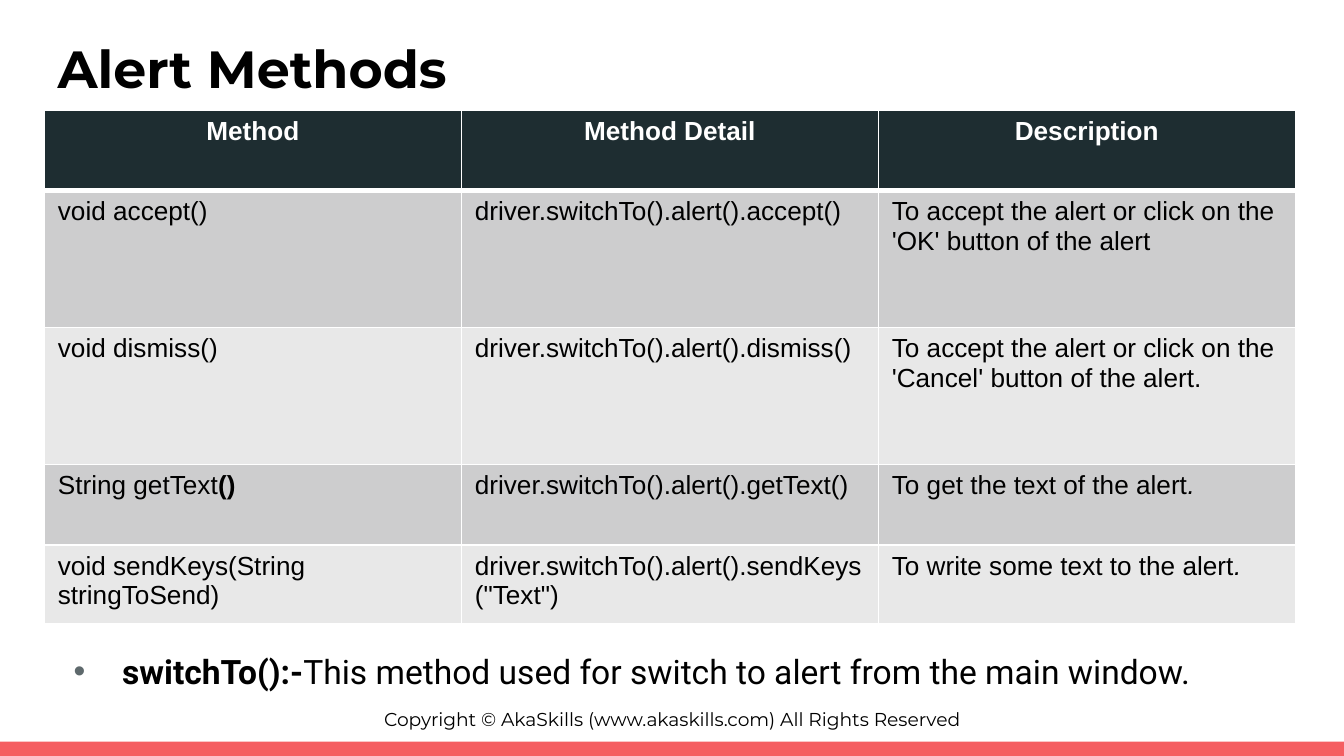
from lxml import etree
from pptx import Presentation
from pptx.dml.color import RGBColor
from pptx.enum.shapes import MSO_SHAPE
from pptx.enum.text import MSO_ANCHOR, MSO_AUTO_SIZE, PP_ALIGN
from pptx.oxml.ns import qn
from pptx.util import Cm, Pt

RECT = MSO_SHAPE.RECTANGLE
TOP = MSO_ANCHOR.TOP
NO_FIT = MSO_AUTO_SIZE.NONE
LEFT, CENTER = PP_ALIGN.LEFT, PP_ALIGN.CENTER

COLORS = {
    "text": "000000",
    "white": "FFFFFF",
    "header": "1E2D31",
    "odd": "CDCDCE",
    "even": "E8E8E8",
    "bullet": "5E696C",
    "bar": "F55E61",
}
HEADERS = ["Method", "Method Detail", "Description"]
METHODS = [
    ["void accept()", "driver.switchTo().alert().accept()",
     "To accept the alert or click on the 'OK' button of the alert"],
    ["void dismiss()", "driver.switchTo().alert().dismiss()",
     "To accept the alert or click on the 'Cancel' button of the alert."],
    [[("String getText", ""), ("()", "b")], "driver.switchTo().alert().getText()",
     [("To get the text of the alert", ""), (".", "i")]],
    ["void sendKeys(String stringToSend)", 'driver.switchTo().alert().sendKeys("Text")',
     [("To write some text to the alert", ""), (".", "i")]],
]
ROW_HEIGHTS = [1.52, 2.59, 2.59, 1.52, 1.5]


def rgb(name):
    """Return the named colour."""
    return RGBColor.from_string(COLORS[name])


def write(p, runs, font, size, color="text", align=LEFT):
    """Fill a paragraph with a string or with (text, style) runs."""
    p.alignment = align
    for text, style in [(runs, "")] if isinstance(runs, str) else runs:
        r = p.add_run()
        r.text = text
        r.font.name = font
        r.font.size = Pt(size)
        r.font.bold = "b" in style
        r.font.italic = "i" in style
        r.font.color.rgb = rgb(color)


def place(sp, box):
    """Move a text shape to its box and give it plain text settings."""
    sp.left, sp.top, sp.width, sp.height = (Cm(v) for v in box)
    tf = sp.text_frame
    tf.word_wrap = True
    tf.auto_size = NO_FIT
    tf.vertical_anchor = TOP
    tf.margin_left = tf.margin_right = tf.margin_top = tf.margin_bottom = Cm(0.25)
    return tf.paragraphs[0]


def add_footer(s, box):
    """Add the copyright line with the coloured bar below it."""
    left, top, width, height = box
    bar_height = 0.27
    text_height = height - bar_height
    sp = s.shapes.add_textbox(0, 0, 0, 0)
    write(place(sp, (left, top, width, text_height)),
          "Copyright © AkaSkills (www.akaskills.com) All Rights Reserved",
          "Montserrat", 10, align=CENTER)
    bar = s.shapes.add_shape(RECT, Cm(left), Cm(top + text_height), Cm(width), Cm(bar_height))
    bar.shadow.inherit = False
    bar.fill.solid()
    bar.fill.fore_color.rgb = rgb("bar")
    bar.line.fill.background()


def add_title(s, box):
    """Fill the title placeholder."""
    write(place(s.shapes.title, box), [("Alert Methods", "b")], "Montserrat", 28)


def add_note(s, box):
    """Fill the body placeholder with the bulleted note."""
    p = place(s.placeholders[1], box)
    p.line_spacing = 1.15
    p.space_before = Pt(0)
    pPr = p._p.get_or_add_pPr()
    pPr.set("marL", str(Cm(1.2)))
    pPr.set("indent", str(Cm(-0.92)))
    color = etree.SubElement(pPr, qn("a:buClr"))
    etree.SubElement(color, qn("a:srgbClr"), val=COLORS["bullet"])
    etree.SubElement(pPr, qn("a:buFont"), typeface="Arial")
    etree.SubElement(pPr, qn("a:buChar"), char="•")
    write(p, [("switchTo():-", "b"),
              ("This method used for switch to alert from the main window.", "")],
          "Roboto", 18)


def set_borders(cell, widths):
    """Draw white cell borders, given the width in points of each side."""
    tcPr = cell._tc.get_or_add_tcPr()
    for i, (side, width) in enumerate(widths.items()):
        ln = etree.Element(qn(f"a:ln{side}"), w=str(Pt(width)))
        fill = etree.SubElement(ln, qn("a:solidFill"))
        etree.SubElement(fill, qn("a:srgbClr"), val=COLORS["white"])
        tcPr.insert(i, ln)


def add_methods_table(s, box):
    """Add the banded table of alert methods."""
    rows = [HEADERS] + METHODS
    frame = s.shapes.add_table(len(rows), len(HEADERS), *(Cm(v) for v in box))
    table = frame.table
    for col in table.columns:
        col.width = Cm(box[2] / len(HEADERS))
    for i, (row, height) in enumerate(zip(rows, ROW_HEIGHTS)):
        table.rows[i].height = Cm(height)
        for j, content in enumerate(row):
            cell = table.cell(i, j)
            p = cell.text_frame.paragraphs[0]
            cell.fill.solid()
            if i == 0:
                cell.fill.fore_color.rgb = rgb("header")
                write(p, [(content, "b")], "Arial", 14, "white", CENTER)
            else:
                cell.fill.fore_color.rgb = rgb("odd" if i % 2 else "even")
                write(p, content, "Arial", 14)
            set_borders(cell, {"L": 1, "R": 1, "T": 3 if i == 1 else 1, "B": 3 if i == 0 else 1})


def main():
    """Build the slide and save it."""
    prs = Presentation()
    prs.slide_width, prs.slide_height = Cm(25.4), Cm(14.29)
    s = prs.slides.add_slide(prs.slide_layouts[1])
    add_title(s, (0.84, 0.43, 23.67, 1.37))
    add_note(s, (0.86, 11.94, 23.67, 1.4))
    add_methods_table(s, (0.84, 2.08, 23.64, sum(ROW_HEIGHTS)))
    add_footer(s, (0, 13.13, 25.4, 1.16))
    prs.save("out.pptx")


if __name__ == "__main__":
    main()
